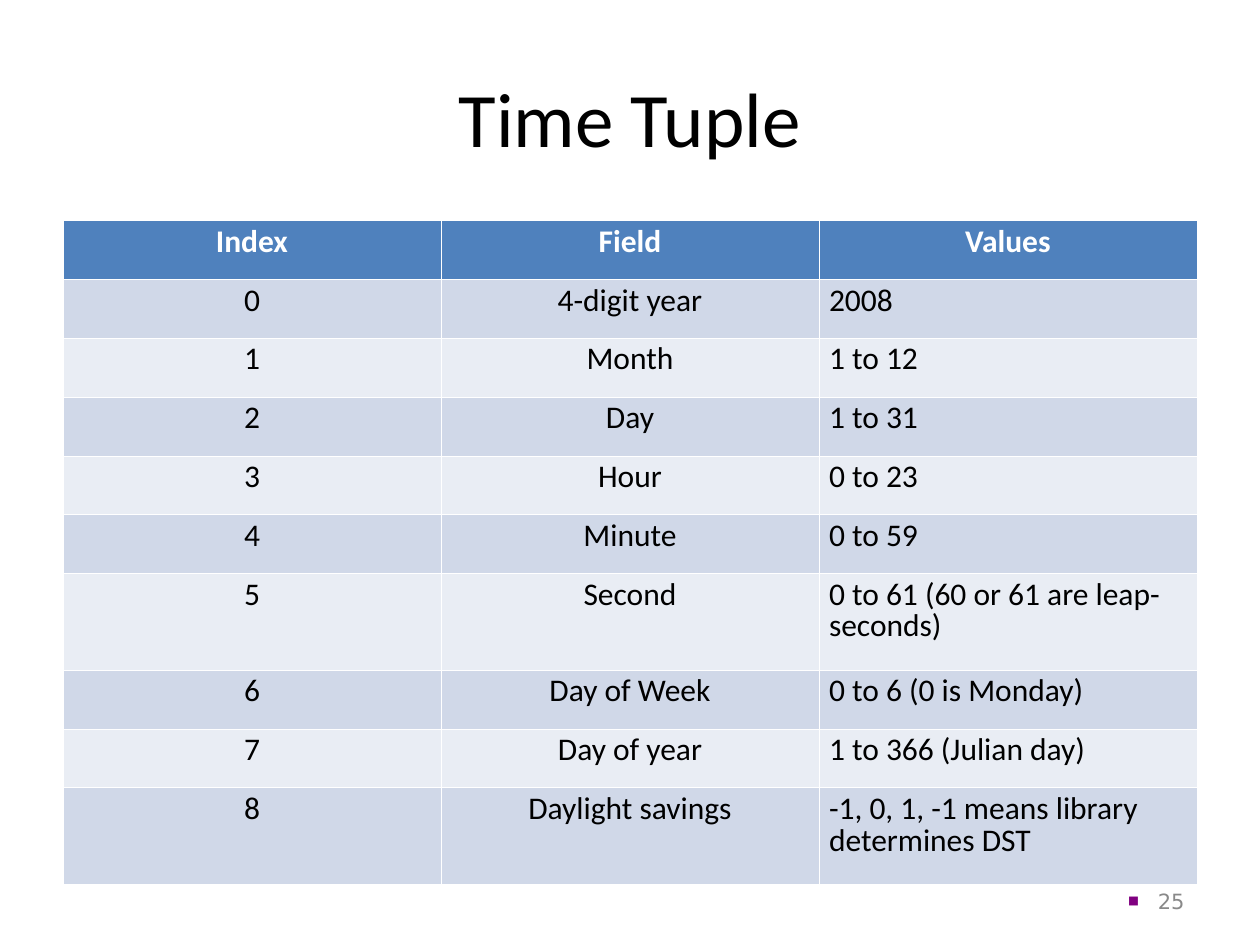
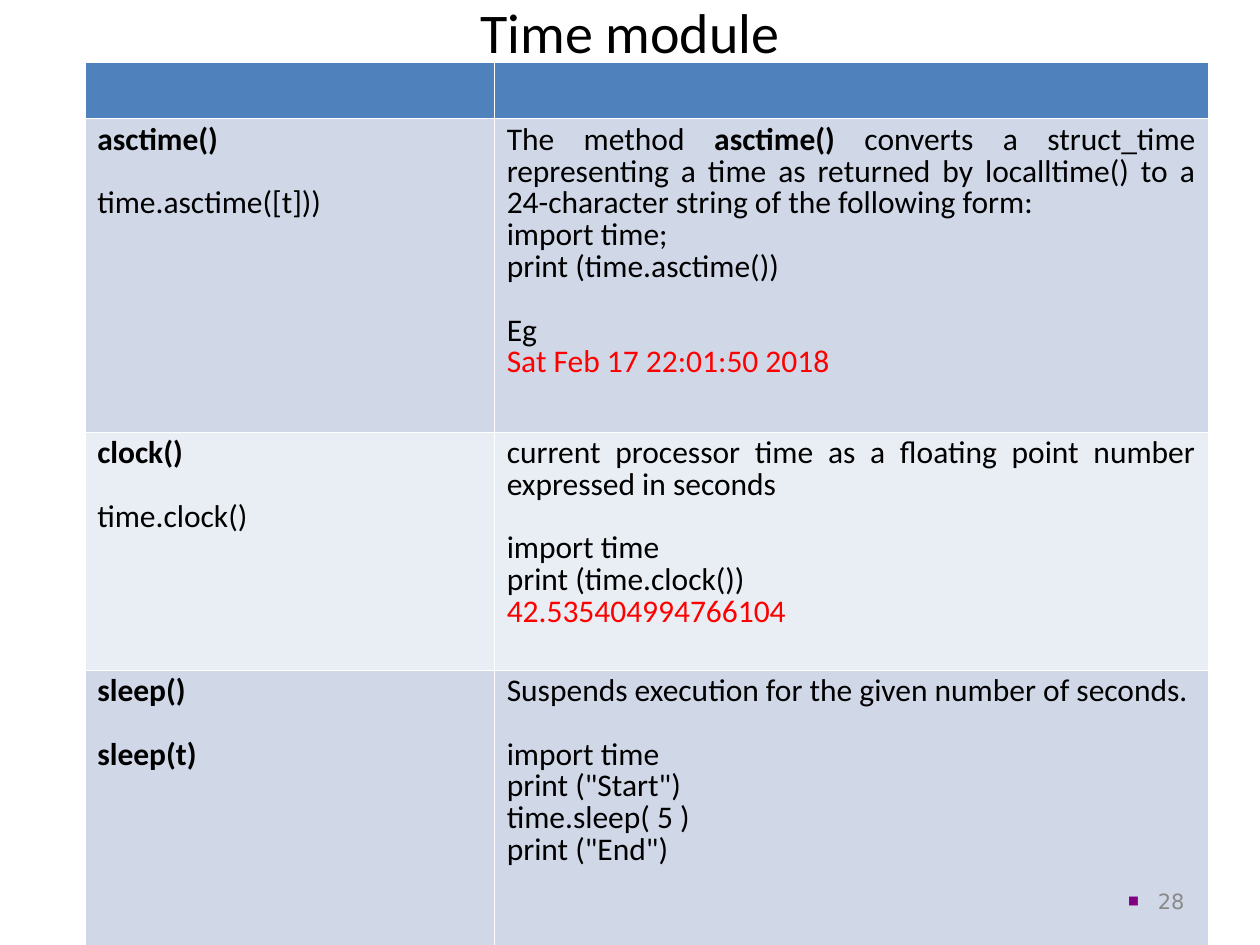
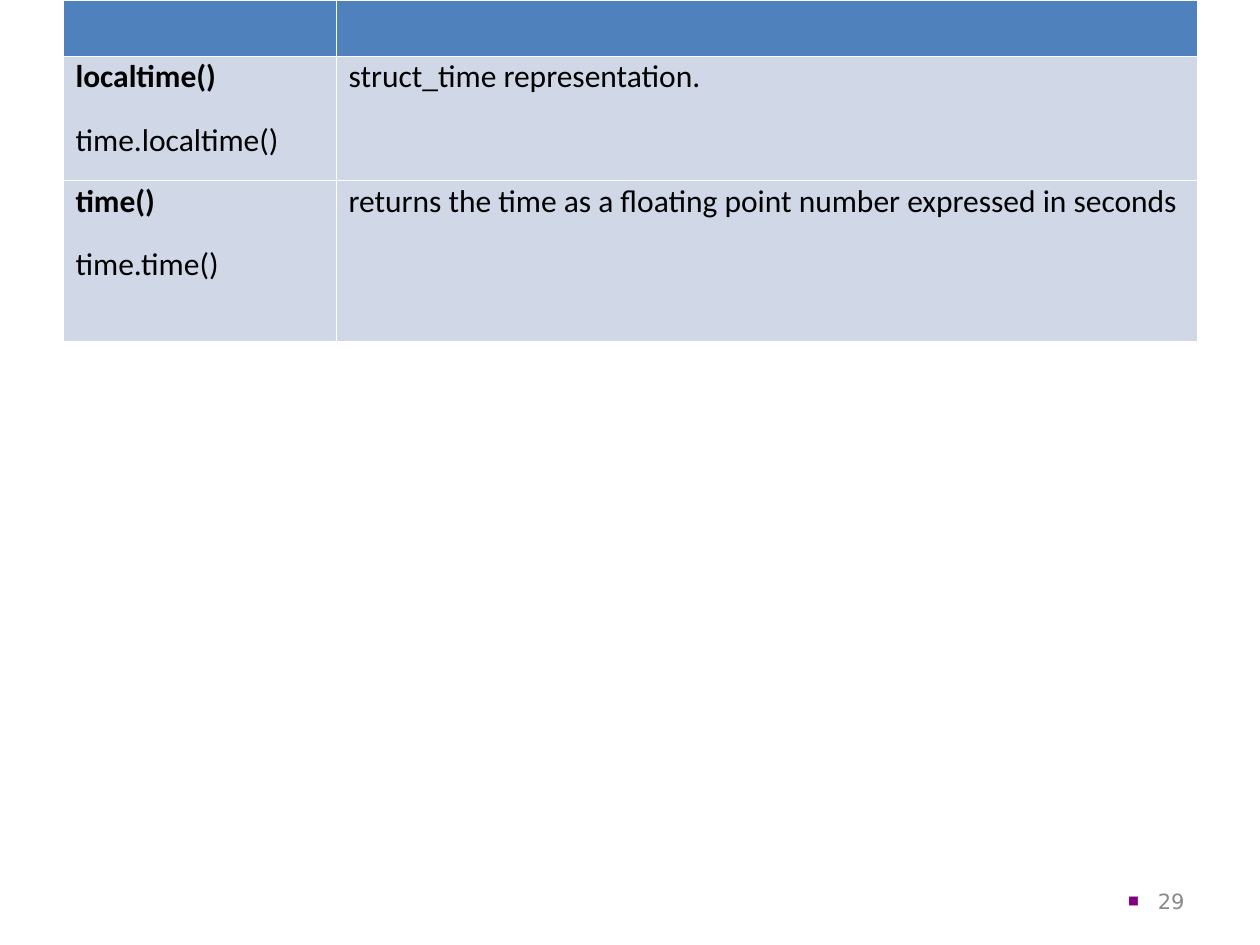
import pptx
import pptx.dml.color
import pptx.enum.text
import pptx.oxml
import pptx.oxml.ns
import pptx.util
from lxml import etree

Pt = pptx.util.Pt
RGBColor = pptx.dml.color.RGBColor
Align = pptx.enum.text.PP_ALIGN
Anchor = pptx.enum.text.MSO_ANCHOR

BLACK = RGBColor(0x00, 0x00, 0x00)
WHITE = RGBColor(0xFF, 0xFF, 0xFF)
RED = RGBColor(0xFF, 0x00, 0x00)
GRAY = RGBColor(0x89, 0x89, 0x89)
PURPLE = RGBColor(0x80, 0x00, 0x80)
HEADER_BLUE = RGBColor(0x4F, 0x81, 0xBD)
BAND_DARK = RGBColor(0xD0, 0xD8, 0xE8)
BAND_LIGHT = RGBColor(0xE9, 0xED, 0xF4)

BODY_FONT = "Calibri"
NUMBER_FONT = "DejaVu Sans"
CELL_SIZE = 18
CELL_SPACING = 0.83
LINE_GAP = 18
THIN, THICK = 0.11, 0.34

TUPLE_ROWS = [
    ("0", "4-digit year", "2008"),
    ("1", "Month", "1 to 12"),
    ("2", "Day", "1 to 31"),
    ("3", "Hour", "0 to 23"),
    ("4", "Minute", "0 to 59"),
    ("5", "Second", "0 to 61 (60 or 61 are leap-seconds)"),
    ("6", "Day of Week", "0 to 6 (0 is Monday)"),
    ("7", "Day of year", "1 to 366 (Julian day)"),
    ("8", "Daylight savings", "-1, 0, 1, -1 means library determines DST"),
]


def add_text(frame, text, *, size=CELL_SIZE, font=BODY_FONT, color=BLACK, bold=False,
             align=Align.LEFT, spacing=None, gap=0, bullet=None):
    """Add one paragraph; text is a string or a list of (string, bold) spans."""
    para = frame.paragraphs[0]
    if para.runs:
        para = frame.add_paragraph()
    if bullet:
        add_bullet(para, bullet)
    para.alignment = align
    if spacing:
        para.line_spacing = spacing
    if gap:
        para.space_before = Pt(gap)
    spans = [(text, bold)] if isinstance(text, str) else text
    for words, is_bold in spans:
        span = para.add_run()
        span.text = words
        span.font.size = Pt(size)
        span.font.name = font
        span.font.bold = is_bold
        span.font.color.rgb = color


def add_bullet(para, symbol):
    properties = para._p.get_or_add_pPr()
    properties.set("marL", str(Pt(17)))
    properties.set("indent", str(-Pt(17)))
    color = etree.SubElement(properties, pptx.oxml.ns.qn("a:buClr"))
    etree.SubElement(color, pptx.oxml.ns.qn("a:srgbClr"), val=str(PURPLE))
    etree.SubElement(properties, pptx.oxml.ns.qn("a:buSzPct"), val="55000")
    etree.SubElement(properties, pptx.oxml.ns.qn("a:buFont"), typeface=NUMBER_FONT)
    etree.SubElement(properties, pptx.oxml.ns.qn("a:buChar"), char=symbol)


def add_box(slide, left, top, width, height, text, **style):
    box = slide.shapes.add_textbox(Pt(left), Pt(top), Pt(width), Pt(height))
    box.text_frame.word_wrap = True
    box.text_frame.vertical_anchor = Anchor.MIDDLE
    add_text(box.text_frame, text, **style)


def add_title(slide, text, top, height, size):
    add_box(slide, 36, top, 648, height, text, size=size, align=Align.CENTER)


def add_number(slide, number):
    add_box(slide, 516, 500.5, 168, 28.75, str(number), size=12, font=NUMBER_FONT,
            color=GRAY, align=Align.RIGHT, bullet="■")


def set_borders(cell, row):
    """Draw thin white borders, thicker between the header and the first row."""
    widths = {"L": THIN, "R": THIN,
              "T": THICK if row == 1 else THIN,
              "B": THICK if row == 0 else THIN}
    properties = cell._tc.get_or_add_tcPr()
    for side, width in widths.items():
        line = etree.SubElement(properties, pptx.oxml.ns.qn(f"a:ln{side}"), w=str(Pt(width)))
        fill = etree.SubElement(line, pptx.oxml.ns.qn("a:solidFill"))
        etree.SubElement(fill, pptx.oxml.ns.qn("a:srgbClr"), val=str(WHITE))


def add_grid(slide, left, top, columns, heights, rows, bands, margin):
    """Add a table; each cell is a list of (text, style) lines."""
    table = slide.shapes.add_table(len(heights), len(columns), Pt(left), Pt(top),
                                   Pt(sum(columns)), Pt(sum(heights))).table
    table.horz_banding = False
    for column, width in zip(table.columns, columns):
        column.width = Pt(width)
    for row_index, (height, lines_by_cell) in enumerate(zip(heights, rows)):
        table.rows[row_index].height = Pt(height)
        color = bands[(row_index - 1) % len(bands)] if row_index else HEADER_BLUE
        for column_index, lines in enumerate(lines_by_cell):
            cell = table.cell(row_index, column_index)
            cell.margin_left = cell.margin_right = Pt(margin)
            set_borders(cell, row_index)
            cell.fill.solid()
            cell.fill.fore_color.rgb = color
            for text, style in lines:
                add_text(cell.text_frame, text, spacing=CELL_SPACING, **style)


def line(text, **style):
    return text, style


def function_cell(name, usage, bold_usage=False, align=Align.LEFT):
    return [line(name, bold=True, align=align),
            line(usage, bold=bold_usage, align=align, gap=LINE_GAP)]


def build_time_tuple(slide):
    add_title(slide, "Time Tuple", 21.6, 90, 44)
    rows = [[[line(name, bold=True, color=WHITE, align=Align.CENTER)]
             for name in ("Index", "Field", "Values")]]
    for index, field, values in TUPLE_ROWS:
        rows.append([[line(index, align=Align.CENTER)],
                     [line(field, align=Align.CENTER)],
                     [line(values)]])
    single, double = 33.6, 55.3
    heights = [single] * 6 + [double] + [single] * 2 + [double]
    add_grid(slide, 36, 126, [216] * 3, heights, rows, [BAND_DARK, BAND_LIGHT], 5.75)
    add_number(slide, 25)


def build_time_module(slide):
    add_title(slide, "Time module", 0, 36, 32)
    asctime = [
        line([("The method ", False), ("asctime()", True),
              (" converts a struct_time representing a time as returned by "
               "localltime() to a 24-character string of the following form:", False)],
             align=Align.JUSTIFY),
        line("import time;"),
        line("print (time.asctime())"),
        line("Eg", gap=LINE_GAP),
        line("Sat Feb 17 22:01:50 2018", color=RED),
    ]
    clock = [
        line("current processor time as a floating point number expressed in seconds",
             align=Align.JUSTIFY),
        line("import time", gap=LINE_GAP),
        line("print (time.clock())"),
        line("42.535404994766104", color=RED),
    ]
    sleep = [
        line("Suspends execution for the given number of seconds.", align=Align.JUSTIFY),
        line("import time", align=Align.JUSTIFY, gap=LINE_GAP),
    ]
    sleep += [line(code, align=Align.JUSTIFY)
              for code in ('print ("Start")', "time.sleep( 5 )", 'print ("End")')]
    rows = [
        [[], []],
        [function_cell("asctime()", "time.asctime([t]))"), asctime],
        [function_cell("clock()", "time.clock()"), clock],
        [function_cell("sleep()", "sleep(t)", bold_usage=True), sleep],
    ]
    add_grid(slide, 48.4, 35.6, [234, 408], [32, 179.2, 136, 157.5], rows,
             [BAND_DARK, BAND_LIGHT], 7.2)
    add_number(slide, 28)


def build_more_functions(slide):
    rows = [
        [[], []],
        [function_cell("localtime()", "time.localtime()", align=Align.JUSTIFY),
         [line("struct_time representation.", align=Align.JUSTIFY)]],
        [function_cell("time()", "time.time()", align=Align.JUSTIFY),
         [line("returns the time as a floating point number expressed in seconds",
               align=Align.JUSTIFY)]],
    ]
    add_grid(slide, 36, 0, [156, 492], [32, 71, 92], rows, [BAND_DARK], 7.2)
    add_number(slide, 29)


def main():
    deck = pptx.Presentation()
    deck.slide_width, deck.slide_height = Pt(720), Pt(540)
    blank = deck.slide_layouts[6]
    for build in (build_time_tuple, build_time_module, build_more_functions):
        build(deck.slides.add_slide(blank))
    deck.save("out.pptx")


if __name__ == "__main__":
    main()
